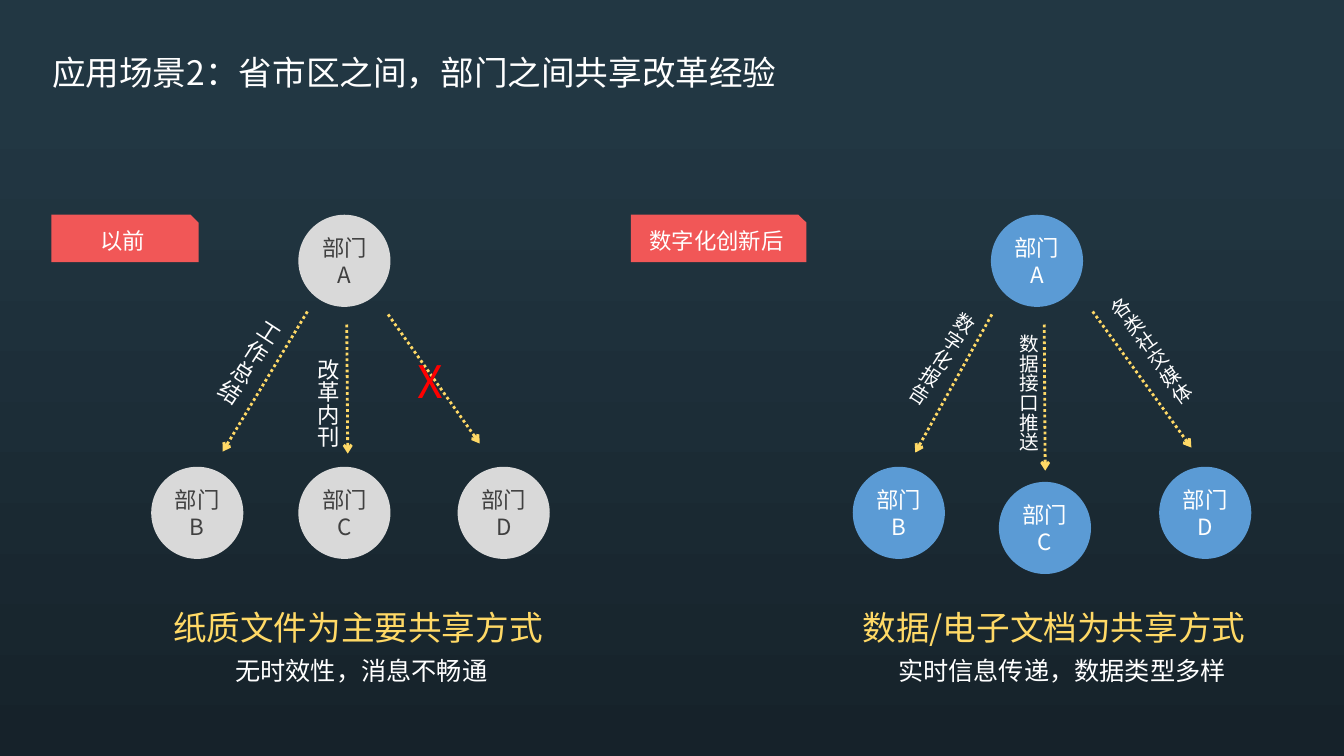
import pptx
import pptx.util
from pptx.dml.color import RGBColor
from pptx.enum.dml import MSO_LINE
from pptx.enum.shapes import MSO_CONNECTOR, MSO_SHAPE
from pptx.enum.text import MSO_ANCHOR, MSO_AUTO_SIZE, PP_ALIGN
from pptx.oxml.ns import qn
from lxml import etree

Pt = pptx.util.Pt

NIGHT = RGBColor(0x16, 0x22, 0x2A)
SLATE = RGBColor(0x22, 0x37, 0x43)
CORAL = RGBColor(0xF1, 0x57, 0x57)
GREY = RGBColor(0xD9, 0xD9, 0xD9)
CHARCOAL = RGBColor(0x40, 0x40, 0x40)
BLUE = RGBColor(0x5B, 0x9B, 0xD5)
GOLD = RGBColor(0xFF, 0xD9, 0x66)
RED = RGBColor(0xFF, 0x00, 0x00)
WHITE = RGBColor(0xFF, 0xFF, 0xFF)

FONT = "Noto Sans CJK SC"
CIRCLE = 65.8
TAG_TOP, TAG_HEIGHT = 153.4, 33.8
HEADLINE_TOP, REMARK_TOP = 429.8, 464.4
REMARK_WIDTH = 248.4

TITLE = "应用场景2：省市区之间，部门之间共享改革经验"
# Departments: letter, left, top. Arrows: start x, y, end x, y.
# Channels: text, left, top, height, rotation.
SCENES = [
    {
        "tag": ("以前", 36.7, 105.1),
        "colours": (GREY, CHARCOAL),
        "departments": [("A", 213.1, 153.4), ("B", 108, 333.4),
                        ("C", 213.1, 333.4), ("D", 326.9, 333.4)],
        "arrows": [(219.6, 222.5, 159.1, 322.6), (247.7, 231.8, 248.4, 324),
                   (277.2, 224.6, 342.7, 316.8)],
        "channel_size": (16, 33.8),
        "channels": [("工作总结", 162.8, 223, 75.2, 33),
                     ("改革内刊", 213.8, 249.1, 84.2, 0)],
        "headline": ("纸质文件为主要共享方式", 116.6, 283.7),
        "remark": ("无时效性，消息不畅通", 133.9),
    },
    {
        "tag": ("数字化创新后", 450.7, 125.3),
        "colours": (BLUE, WHITE),
        "departments": [("A", 707.8, 153.4), ("B", 609.1, 333.4),
                        ("C", 713.5, 344.2), ("D", 828, 333.4)],
        "arrows": [(708.5, 224.6, 653.8, 323.3), (745.9, 231.8, 746.6, 336.2),
                   (780.5, 222.5, 851, 319.7)],
        "channel_size": (14, 31.7),
        "channels": [("数字化报告", 658.4, 217, 82.2, 33),
                     ("数据接口推送", 715, 231.8, 106.6, 0),
                     ("各类社交媒体", 808.8, 201.4, 97.2, 325)],
        "headline": ("数据/电子文档为共享方式", 609.1, 302),
        "remark": ("实时信息传递，数据类型多样", 634.3),
    },
]
BLOCKED = ("X", 290.9, 249.1, 38.2, 46.1)

deck = pptx.Presentation()
deck.slide_width, deck.slide_height = Pt(960), Pt(540)
slide = deck.slides.add_slide(deck.slide_layouts[6])


def write(frame, text, size, colour, align):
    paragraph = frame.paragraphs[0]
    paragraph.alignment = align
    run = paragraph.add_run()
    run.text = text
    for name, value in {"size": Pt(size), "name": FONT}.items():
        setattr(run.font, name, value)
    run.font.color.rgb = colour
    east_asian = etree.SubElement(run.font._element, qn("a:ea"))
    east_asian.set("typeface", FONT)


def add_label(text, box, size, colour=WHITE, align=PP_ALIGN.LEFT):
    label = slide.shapes.add_textbox(*map(Pt, box))
    frame_format = {"word_wrap": True,
                    "auto_size": MSO_AUTO_SIZE.SHAPE_TO_FIT_TEXT}
    for name, value in frame_format.items():
        setattr(label.text_frame, name, value)
    write(label.text_frame, text, size, colour, align)
    return label


def add_channel(text, box, size, rotation):
    """Upright labels use vertical text; tilted ones wrap to a glyph a line."""
    channel = add_label(text, box, size)
    frame = channel.text_frame
    if rotation:
        channel.rotation = rotation
        frame.auto_size = MSO_AUTO_SIZE.NONE
        frame.paragraphs[0].line_spacing = Pt(size + 1)
    else:
        frame._txBody.bodyPr.set("vert", "eaVert")


def add_filled(preset, text, box, fill, colour):
    shape = slide.shapes.add_shape(preset, *map(Pt, box))
    shape.shadow.inherit = False
    shape.fill.solid()
    shape.fill.fore_color.rgb = fill
    shape.line.fill.background()
    frame_format = {"word_wrap": True, "vertical_anchor": MSO_ANCHOR.MIDDLE,
                    "margin_left": Pt(7), "margin_right": Pt(7)}
    for name, value in frame_format.items():
        setattr(shape.text_frame, name, value)
    write(shape.text_frame, text, 16, colour, PP_ALIGN.CENTER)


def add_arrow(ends):
    arrow = slide.shapes.add_connector(MSO_CONNECTOR.STRAIGHT, *map(Pt, ends))
    arrow.line.color.rgb = GOLD
    line_format = {"width": Pt(2), "dash_style": MSO_LINE.ROUND_DOT}
    for name, value in line_format.items():
        setattr(arrow.line, name, value)
    properties = arrow._element.spPr
    head = etree.SubElement(properties.find(qn("a:ln")), qn("a:tailEnd"))
    head.set("type", "arrow")
    etree.SubElement(properties, qn("a:effectLst"))


backdrop = slide.background.fill
backdrop.gradient()
backdrop.gradient_angle = 90
for stop, (position, colour) in zip(backdrop.gradient_stops,
                                    [(0, NIGHT), (0.87, SLATE)]):
    stop.position = position
    stop.color.rgb = colour

add_label(TITLE, (30.2, 33.8, 597.6, 36), 24)

for scene in SCENES:
    tag, left, width = scene["tag"]
    add_filled(MSO_SHAPE.SNIP_1_RECTANGLE, tag,
               (left, TAG_TOP, width, TAG_HEIGHT), CORAL, WHITE)
    for letter, left, top in scene["departments"]:
        add_filled(MSO_SHAPE.OVAL, "部门" + letter,
                   (left, top, CIRCLE, CIRCLE), *scene["colours"])
    for ends in scene["arrows"]:
        add_arrow(ends)
    size, width = scene["channel_size"]
    for channel, left, top, height, rotation in scene["channels"]:
        add_channel(channel, (left, top, width, height), size, rotation)
    headline, left, width = scene["headline"]
    add_label(headline, (left, HEADLINE_TOP, width, 36), 24, GOLD)
    remark, left = scene["remark"]
    add_label(remark, (left, REMARK_TOP, REMARK_WIDTH, 28.8), 18,
              align=PP_ALIGN.CENTER)

add_label(BLOCKED[0], BLOCKED[1:], 32, RED)

deck.save("out.pptx")
